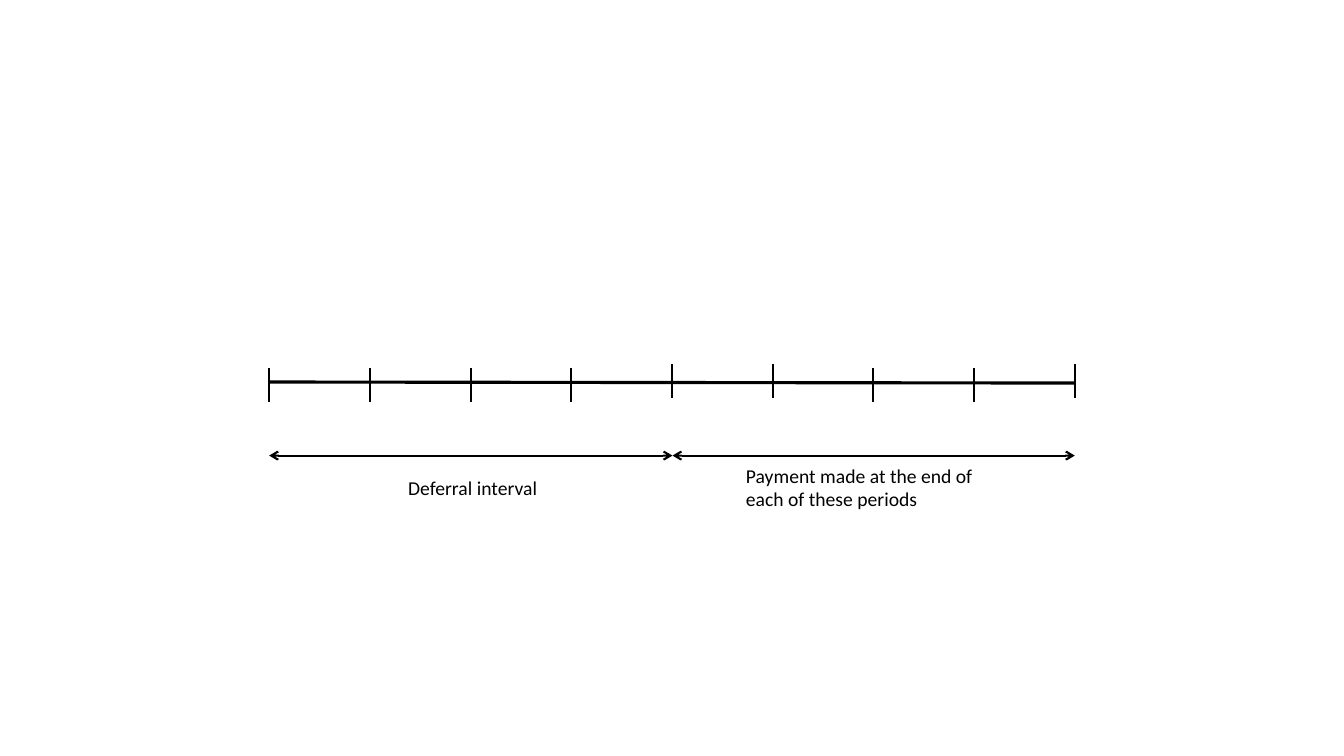
import pptx
import pptx.dml.color
import pptx.enum.shapes
import pptx.enum.text
import pptx.oxml.ns
import pptx.util
from lxml import etree

Inches = pptx.util.Inches
Pt = pptx.util.Pt
qn = pptx.oxml.ns.qn

COLORS = {"ink": "000000", "background": "FFFFFF"}
FONT = "Calibri"
START, MIDDLE, END = 2.67, 6.67, 10.66
PERIODS = 8
TICK_HEIGHT = 0.34
RAISED_TICKS = (4, 5, 8)
ARROW_Y = 4.52


def rgb(name):
    """Return the named colour."""
    return pptx.dml.color.RGBColor.from_string(COLORS[name])


def add_line(s, x1, y1, x2, y2, width=1.5, arrows=False):
    """Draw a straight line, with open arrowheads at both ends if asked."""
    kind = pptx.enum.shapes.MSO_CONNECTOR.STRAIGHT
    sp = s.shapes.add_connector(kind, Inches(x1), Inches(y1), Inches(x2), Inches(y2))
    sp.line.color.rgb = rgb("ink")
    sp.line.width = Pt(width)
    if arrows:
        ln = sp.line._get_or_add_ln()
        for end in ("a:headEnd", "a:tailEnd"):
            etree.SubElement(ln, qn(end), type="arrow")
    etree.SubElement(sp._element.spPr, qn("a:effectLst"))


def add_label(s, text, x, y, w, h):
    """Add a wrapped text label."""
    sp = s.shapes.add_textbox(Inches(x), Inches(y), Inches(w), Inches(h))
    tf = sp.text_frame
    tf.word_wrap = True
    tf.auto_size = pptx.enum.text.MSO_AUTO_SIZE.SHAPE_TO_FIT_TEXT
    r = tf.paragraphs[0].add_run()
    r.text = text
    r.font.name = FONT
    r.font.size = Pt(14)
    r.font.color.rgb = rgb("ink")


def add_timeline(s):
    """Draw the time axis with a tick at each period boundary."""
    add_line(s, START, 3.79, END, 3.8, width=2.25)
    step = (END - START) / PERIODS
    for i in range(PERIODS + 1):
        x = START + i * step
        top = 3.61 if i in RAISED_TICKS else 3.65
        add_line(s, x, top, x, top + TICK_HEIGHT)


def main():
    """Build the deferred annuity timeline slide."""
    prs = pptx.Presentation()
    prs.slide_width = Inches(13.33)
    prs.slide_height = Inches(7.5)
    s = prs.slides.add_slide(prs.slide_layouts[6])
    s.background.fill.solid()
    s.background.fill.fore_color.rgb = rgb("background")
    add_timeline(s)
    for left, right in ((START, MIDDLE), (MIDDLE, END)):
        add_line(s, left, ARROW_Y, right, ARROW_Y, arrows=True)
    add_label(s, "Deferral interval", 3.95, 4.67, 1.55, 0.34)
    add_label(s, "Payment made at the end of each of these periods", 7.3, 4.55, 2.74, 0.57)
    prs.save("out.pptx")


if __name__ == "__main__":
    main()
